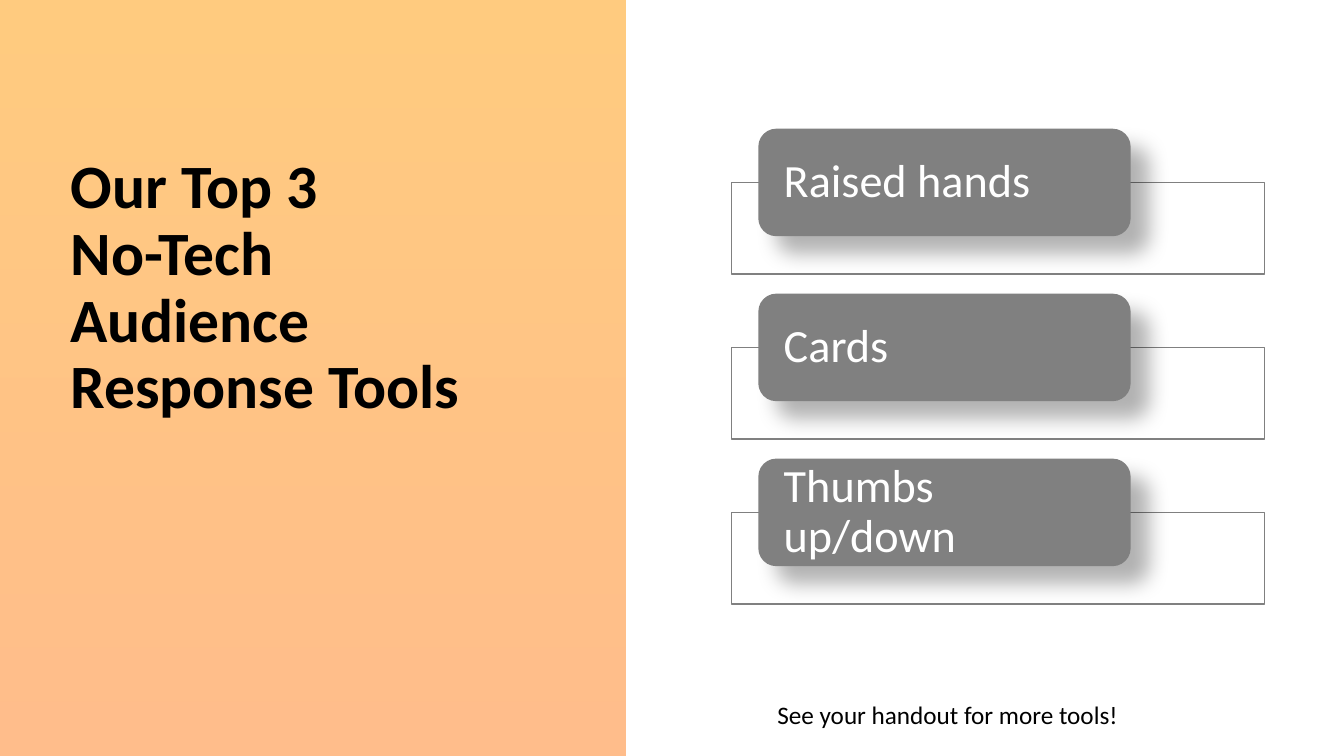
from lxml.etree import SubElement
from pptx import Presentation
from pptx.dml.color import RGBColor
from pptx.enum.shapes import MSO_SHAPE as Shape
from pptx.enum.text import MSO_ANCHOR as Anchor, MSO_AUTO_SIZE as AutoSize, PP_ALIGN as Align
from pptx.oxml.ns import qn
from pptx.util import Inches, Pt

COLS, ROWS = 80, 45


def rgb(color):
    """Turn a hex string into a colour."""
    return RGBColor.from_string(color)


def set_alpha(parent, percent):
    """Make every colour under an element partly transparent."""
    for clr in parent.iter(qn("a:srgbClr")):
        SubElement(clr, qn("a:alpha"), val=str(percent * 1000))


class Deck:
    """Hold the style, the grid and the current slide."""

    font, ink, paper, gray = "Calibri", "000000", "FFFFFF", "808080"
    glow = ("FF9900", "FF7C19")

    def __init__(self):
        """Open a widescreen title-only slide."""
        self.prs = Presentation()
        self.prs.slide_width, self.prs.slide_height = Inches(13.33), Inches(7.5)
        self.s = self.prs.slides.add_slide(self.prs.slide_layouts[5])
        fill = self.s.background.fill
        fill.solid()
        fill.fore_color.rgb = rgb(self.paper)

    def box(self, x, y, w, h):
        """Convert grid columns and rows to lengths."""
        col, row = self.prs.slide_width / COLS, self.prs.slide_height / ROWS
        return round(x * col), round(y * row), round(w * col), round(h * row)

    def add_text(self, tf, lines, size, color, bold=False, spacing=None):
        """Add lines as runs of one left-aligned paragraph."""
        tf.word_wrap = True
        p = tf.paragraphs[0]
        p.alignment = Align.LEFT
        p.line_spacing = spacing
        for i, line in enumerate(lines):
            if i:
                p.add_line_break()
            r = p.add_run()
            r.text = line
            r.font.name, r.font.size, r.font.bold = self.font, Pt(size), bold
            r.font.color.rgb = rgb(color)

    def shape(self, kind, box, color=None):
        """Add a flat shape without an outline."""
        sp = self.s.shapes.add_shape(kind, *self.box(*box))
        sp.shadow.inherit = False
        if color:
            sp.fill.solid()
            sp.fill.fore_color.rgb = rgb(color)
        sp.line.fill.background()
        return sp

    def panel(self, box):
        """Add a half-transparent vertical gradient panel."""
        sp = self.shape(Shape.RECTANGLE, box)
        sp.fill.gradient()
        sp.fill.gradient_angle = 270
        for stop, position, color in zip(sp.fill.gradient_stops, (0, 1), self.glow):
            stop.position, stop.color.rgb = position, rgb(color)
        set_alpha(sp.element.spPr, 50)

    def title(self, box, lines):
        """Format the title and bring it to the front."""
        sp = self.s.shapes.title
        sp.left, sp.top, sp.width, sp.height = self.box(*box)
        sp.element.getparent().append(sp.element)
        sp.text_frame.vertical_anchor = Anchor.MIDDLE
        self.add_text(sp.text_frame, lines, 44, self.ink, bold=True, spacing=0.9)

    def frame(self, box):
        """Add an outlined frame."""
        sp = self.shape(Shape.RECTANGLE, box, self.paper)
        set_alpha(sp.element.spPr, 90)
        sp.line.color.rgb = rgb(self.gray)
        sp.line.width = Pt(1)

    def card(self, box, text):
        """Add a rounded label with a soft shadow."""
        sp = self.shape(Shape.ROUNDED_RECTANGLE, box, self.gray)
        effects = sp.element.spPr.find(qn("a:effectLst"))
        shadow = SubElement(effects, qn("a:outerShdw"), blurRad=str(Pt(15)), dist=str(Pt(18)),
                            dir=str(45 * 60000), algn="tl", rotWithShape="0")
        SubElement(shadow, qn("a:srgbClr"), val=self.ink)
        set_alpha(shadow, 30)
        tf = sp.text_frame
        tf.vertical_anchor = Anchor.MIDDLE
        tf.margin_left, tf.margin_right = Inches(0.2), Inches(0.14)
        tf.margin_top = tf.margin_bottom = 0
        self.add_text(tf, [text], 33, self.paper, spacing=0.9)

    def note(self, box, text):
        """Add a plain line of text."""
        tf = self.s.shapes.add_textbox(*self.box(*box)).text_frame
        tf.auto_size = AutoSize.SHAPE_TO_FIT_TEXT
        self.add_text(tf, [text], 18, self.ink)


def main():
    """Build the slide."""
    deck = Deck()
    deck.panel((0, 0, 37.26, ROWS))
    deck.title((3.6, 1.08, 30, 32.22), ["Our Top 3", "No-Tech ", "Audience Response Tools"])
    for i, tool in enumerate(["Raised hands", "Cards", "Thumbs up/down"]):
        drop = i * 9.82
        deck.frame((43.56, 10.86 + drop, 31.7, 5.46))
        deck.card((45.14, 7.66 + drop, 22.16, 6.4), tool)
    deck.note((45.68, 41.34, 26.1, 2.4), "See your handout for more tools!")
    deck.prs.save("out.pptx")


if __name__ == "__main__":
    main()
